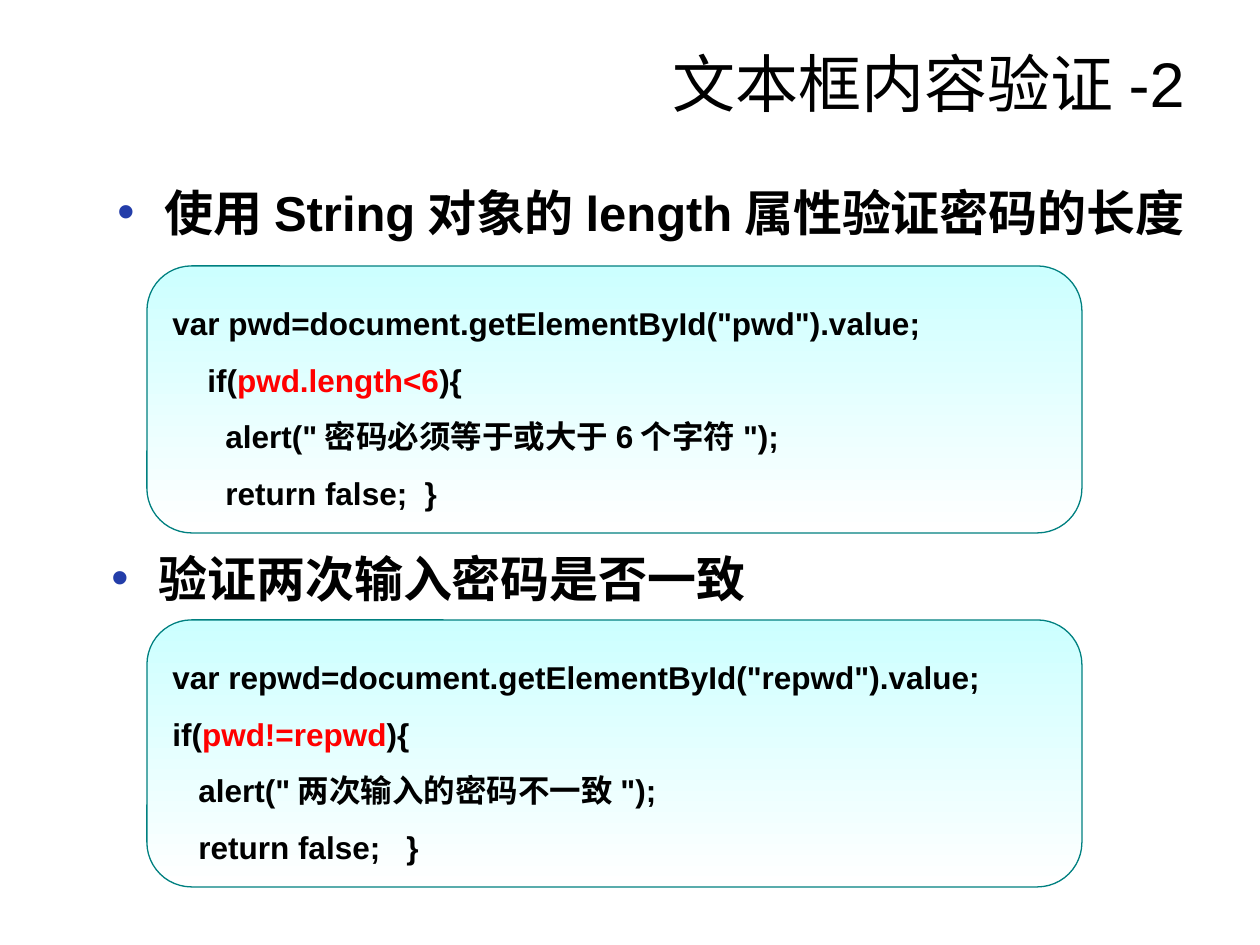
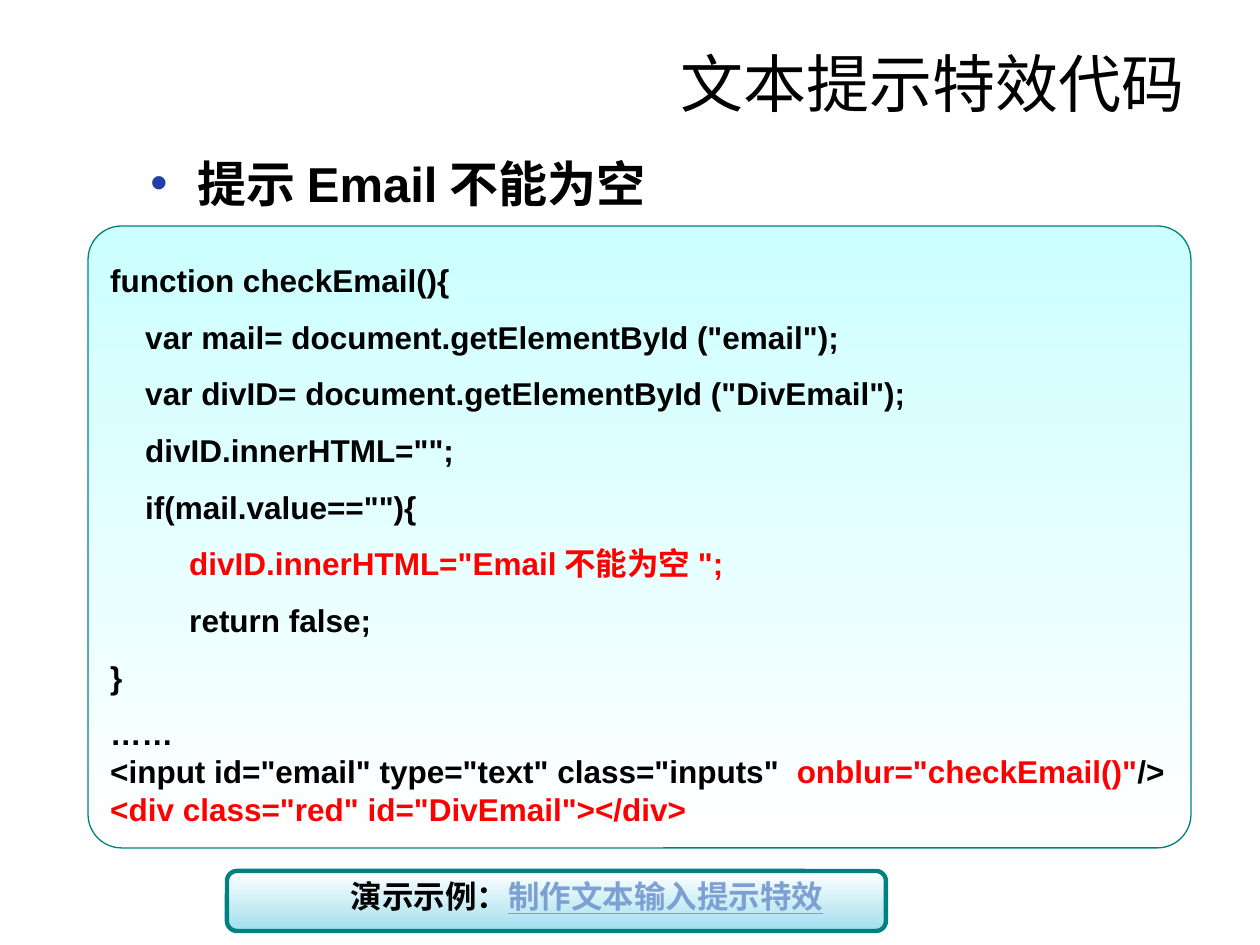
from lxml import etree
from pptx import Presentation
from pptx import util as u
from pptx.dml.color import RGBColor
from pptx.enum import shapes, text
from pptx.oxml.ns import qn

PX = 7257
FONT = "Arial"
BLACK, RED, TEAL, BULLET, LINK = "000000", "FF0000", "008080", "233DA9", "7DA0D3"
CODE_FILL = ("CCFFFF", "FFFFFF")
DEMO_FILL = ("FFFFFF", "A1DFED")
SPACE = 8.76


def rgb(value):
    return RGBColor.from_string(value)


def write(paragraph, words, size, color=BLACK, bold=True):
    run = paragraph.add_run()
    run.text = words
    run.font.name = FONT
    run.font.size = u.Pt(size)
    run.font.bold = bold
    run.font.color.rgb = rgb(color)
    return run


pages = [
    {
        "title": "文本框内容验证-2",
        "points": [
            (105, 176, 1095, "使用String对象的length属性验证密码的长度"),
            (99, 542, 1095, "验证两次输入密码是否一致"),
        ],
        "codes": [
            ((147, 266, 935, 267), 0.167, [
                (0, 1.5, 'var pwd=document.getElementById("pwd").value;'),
                (4, 1.5, "if(|pwd.length<6|){"),
                (6, 1.5, 'alert("密码必须等于或大于6个字符");'),
                (6, 1.5, "return false;  }"),
            ]),
            ((147, 620, 935, 267), 0.167, [
                (0, 1.5, 'var repwd=document.getElementById("repwd").value;'),
                (0, 1.5, "if(|pwd!=repwd|){"),
                (3, 1.5, 'alert("两次输入的密码不一致");'),
                (3, 1.5, "return false;   }"),
            ]),
        ],
        "demo": None,
    },
    {
        "title": "文本提示特效代码",
        "points": [(138, 147, 683, "提示Email不能为空")],
        "codes": [
            ((88, 226, 1103, 622), 0.054, [
                (0, 1.5, "function checkEmail(){"),
                (4, 1.5, 'var mail= document.getElementById ("email");'),
                (4, 1.5, 'var divID= document.getElementById ("DivEmail");'),
                (4, 1.5, 'divID.innerHTML="";'),
                (4, 1.5, 'if(mail.value==""){'),
                (9, 1.5, '|divID.innerHTML="Email不能为空";'),
                (9, 1.5, "return false;"),
                (0, 1.5, "}"),
                (0, 1.5, "……"),
                (0, 1, '<input id="email" type="text" class="inputs"  |onblur="checkEmail()"|/>'),
                (0, 1, '|<div class="red" id="DivEmail"></div>'),
            ]),
        ],
        "demo": ("演示示例：", "制作文本输入提示特效"),
    },
]

deck = Presentation()
deck.slide_width, deck.slide_height = 1260 * PX, 945 * PX

for page in pages:
    slide = deck.slides.add_slide(deck.slide_layouts[6])

    title = slide.shapes.add_textbox(63 * PX, 38 * PX, 1134 * PX, 157 * PX).text_frame
    title.word_wrap = True
    title.paragraphs[0].alignment = text.PP_ALIGN.RIGHT
    write(title.paragraphs[0], page["title"], 36, bold=False)

    for left, top, width, words in page["points"]:
        point = slide.shapes.add_textbox(left * PX, top * PX, width * PX, 89 * PX).text_frame
        point.word_wrap = True
        write(point.paragraphs[0], words, 28)
        layout = point.paragraphs[0]._p.get_or_add_pPr()
        layout.set("marL", str(47 * PX))
        layout.set("indent", str(-47 * PX))
        bullet_color = etree.SubElement(layout, qn("a:buClr"))
        etree.SubElement(bullet_color, qn("a:srgbClr"), val=BULLET)
        etree.SubElement(layout, qn("a:buFont"), typeface=FONT)
        etree.SubElement(layout, qn("a:buChar"), char="•")

    panels = [(shapes.MSO_SHAPE.ROUNDED_RECTANGLE, box, corner, CODE_FILL, 0.75, lines)
              for box, corner, lines in page["codes"]]
    if page["demo"]:
        panels.append((shapes.MSO_SHAPE.FLOWCHART_ALTERNATE_PROCESS,
                       (227, 871, 659, 60), None, DEMO_FILL, 2.5, []))

    for kind, box, corner, tints, weight, lines in panels:
        panel = slide.shapes.add_shape(kind, *[side * PX for side in box])
        panel.shadow.inherit = False
        if corner:
            panel.adjustments[0] = corner
        panel.fill.gradient()
        panel.fill.gradient_angle = 270
        for stop, tint in zip(panel.fill.gradient_stops, tints):
            stop.color.rgb = rgb(tint)
        panel.line.color.rgb = rgb(TEAL)
        panel.line.width = u.Pt(weight)
        code = panel.text_frame
        code.word_wrap = True
        code.vertical_anchor = text.MSO_ANCHOR.TOP
        for number, (spaces, spacing, words) in enumerate(lines):
            line = code.add_paragraph() if number else code.paragraphs[0]
            line.alignment = text.PP_ALIGN.LEFT
            line.line_spacing = spacing
            line._p.get_or_add_pPr().set("marL", str(round(spaces * SPACE) * PX))
            for part, piece in enumerate(words.split("|")):
                if piece:
                    write(line, piece, 18, RED if part % 2 else BLACK)

    if page["demo"]:
        label, example = page["demo"]
        demo = slide.shapes.add_textbox(333 * PX, 871 * PX, 508 * PX, 50 * PX).text_frame
        demo.word_wrap = True
        demo.paragraphs[0].alignment = text.PP_ALIGN.CENTER
        write(demo.paragraphs[0], label, 18)
        write(demo.paragraphs[0], example, 18, LINK).font.underline = True

deck.save("out.pptx")
